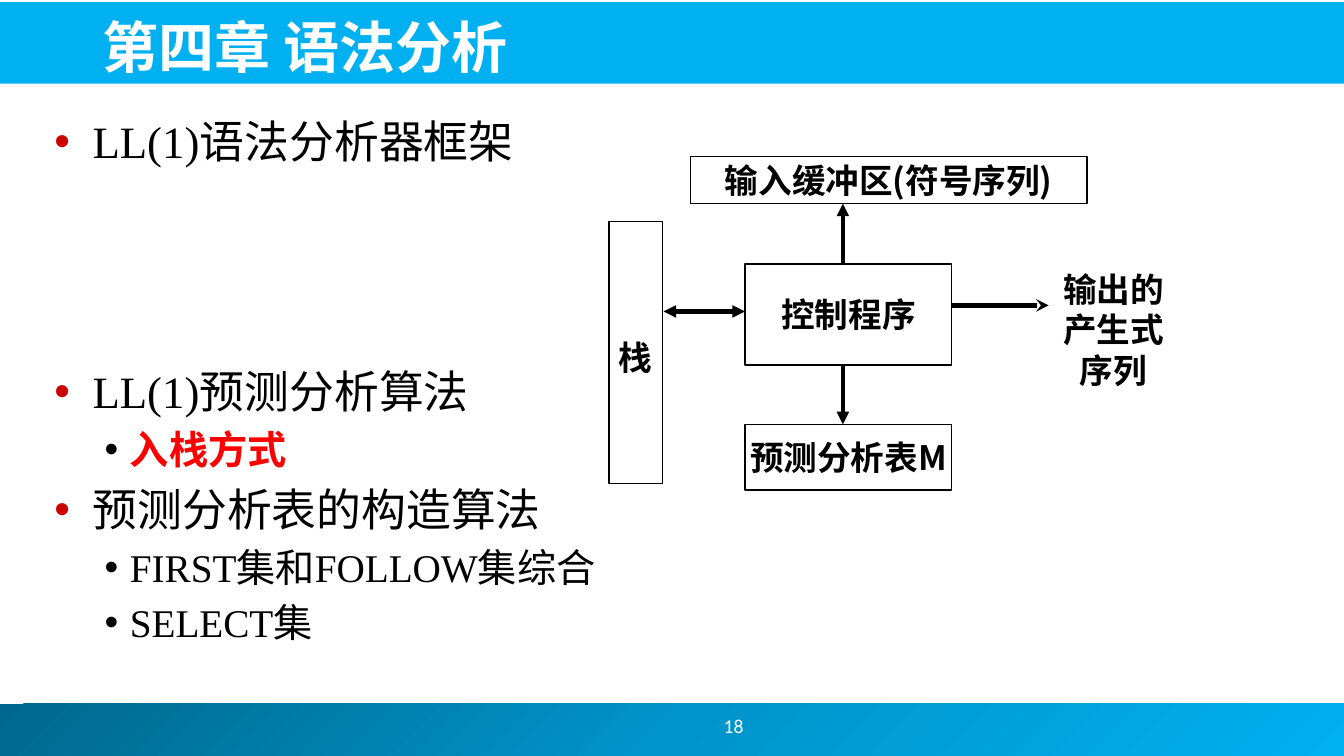
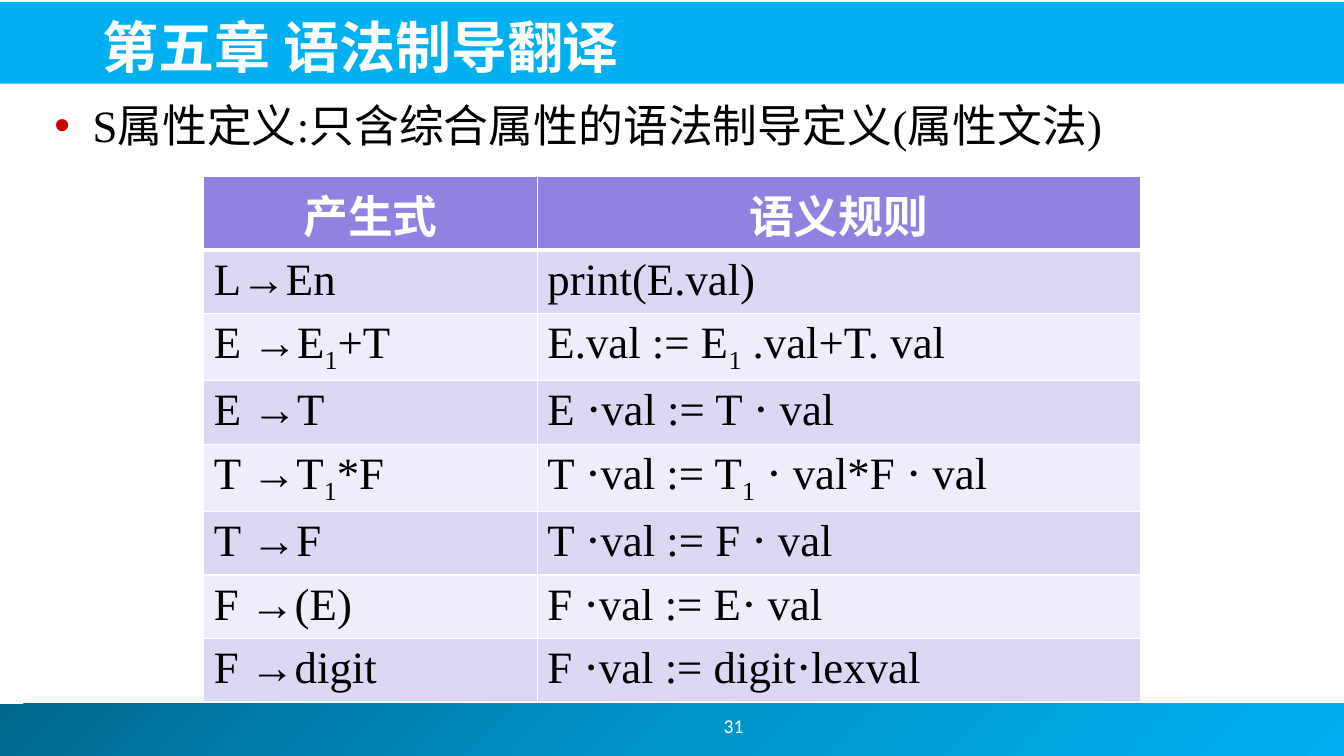
import copy

import pptx
import pptx.dml.color
import pptx.enum.shapes
import pptx.enum.text
import pptx.oxml
import pptx.oxml.ns
import pptx.util

Inches = pptx.util.Inches
Pt = pptx.util.Pt
qn = pptx.oxml.ns.qn
ALIGN = pptx.enum.text.PP_ALIGN
ANCHOR = pptx.enum.text.MSO_ANCHOR
RECTANGLE = pptx.enum.shapes.MSO_SHAPE.RECTANGLE

COLORS = {
    "band": "00B0F0", "deep": "00688E", "middle": "0094CA", "white": "FFFFFF",
    "ink": "000000", "bullet": "CC0000", "alert": "FF0000",
    "header": "9181E1", "odd": "DCD8F4", "even": "EEEDF9",
}
SANS = "Noto Sans CJK JP"
SERIF = "Times New Roman"
LINE_RATIO = 1.2
HEADER_HEIGHT = 0.73
RULE_HEIGHT = 0.63

TITLE = {"name": SANS, "size": Pt(40), "bold": True}
NUMBER = {"name": "Calibri", "size": Pt(14)}
LABEL = {"name": SANS, "size": Pt(24), "bold": True}
CELL = {"name": SERIF, "size": Pt(32), "bold": False}
LEVELS = [
    {"size": 32, "margin": 0.38, "hang": 0.38, "bullet": "bullet"},
    {"size": 28, "margin": 0.75, "hang": 0.25, "bullet": "ink"},
]


def rgb(color):
    return pptx.dml.color.RGBColor.from_string(COLORS[color])


def assign(target, values):
    for name, value in values.items():
        setattr(target, name, value)


def add_element(parent, xml):
    """Append a DrawingML element, given without its namespace prefix."""
    namespace = pptx.oxml.ns.nsdecls("a")
    tag, _, rest = xml.partition(" ")
    element = pptx.oxml.parse_xml(f"<a:{tag} {namespace} {rest}/>")
    parent.append(element)
    return element


def add_span(para, text, style, color="ink", asian=True):
    """Add a run; asian also names the font for Chinese characters."""
    span = para.add_run()
    span.text = text
    assign(span.font, style)
    span.font.color.rgb = rgb(color)
    if asian:
        add_element(span.font._element, f'ea typeface="{SANS}"')
    return span


def add_text_box(shapes, box, anchor=ANCHOR.TOP, **margins):
    frame = shapes.add_textbox(*map(Inches, box)).text_frame
    assign(frame, {"word_wrap": True, "vertical_anchor": anchor})
    assign(frame, {name: Inches(value) for name, value in margins.items()})
    return frame


def next_para(frame, index):
    return frame.add_paragraph() if index else frame.paragraphs[0]


def add_band(page, box):
    band = page.shapes.add_shape(RECTANGLE, *map(Inches, box))
    band.shadow.inherit = False
    band.line.fill.background()
    return band


def add_footer_band(page, box):
    band = add_band(page, box)
    band.fill.gradient()
    band.fill.gradient_angle = 315
    stop_list = band._element.spPr.find(".//" + qn("a:gsLst"))
    stop_list.append(copy.deepcopy(stop_list[0]))
    stops = zip(band.fill.gradient_stops, ("deep", "middle", "band"), (0, 0.5, 1))
    for stop, color, position in stops:
        stop.color.rgb = rgb(color)
        stop.position = position


def add_page(deck, title, number):
    """Add a slide with the title band, footer band and page number."""
    page = deck.slides.add_slide(deck.slide_layouts[6])
    add_footer_band(page, (0, 6.98, 13.33, 0.52))
    header = add_band(page, (-0.02, 0.02, 13.36, 0.81))
    header.fill.solid()
    header.fill.fore_color.rgb = rgb("band")

    frame = add_text_box(page.shapes, (5.83, 6.95, 2.89, 0.5), ANCHOR.MIDDLE)
    frame.paragraphs[0].alignment = ALIGN.CENTER
    add_span(frame.paragraphs[0], str(number), NUMBER, "white")

    frame = add_text_box(page.shapes, (0.92, 0.05, 11.97, 0.79), ANCHOR.BOTTOM)
    frame.paragraphs[0].line_spacing = Pt(40 * LINE_RATIO)
    add_span(frame.paragraphs[0], title, TITLE, "white")
    return page


def add_outline(page, box, items):
    """Place bullets given as (level, text, extra space before, highlighted)."""
    frame = add_text_box(page.shapes, box)
    for index, (level, text, gap, highlighted) in enumerate(items):
        look = LEVELS[level]
        para = next_para(frame, index)
        para.level = level
        para.line_spacing = Pt(look["size"] * LINE_RATIO)
        para.space_before = Pt(look["size"] * 0.2 + gap if index else 0)
        properties = para._p.get_or_add_pPr()
        properties.set("marL", str(Inches(look["margin"])))
        properties.set("indent", str(-Inches(look["hang"])))
        color = add_element(properties, "buClr ")
        add_element(color, f'srgbClr val="{COLORS[look["bullet"]]}"')
        add_element(properties, 'buFont typeface="Arial"')
        add_element(properties, 'buChar char="•"')
        style = {"name": SERIF, "size": Pt(look["size"]), "bold": highlighted}
        add_span(para, text, style, "alert" if highlighted else "ink")


def add_block(shapes, box, text, spacing=1.0):
    block = shapes.add_shape(RECTANGLE, *map(Inches, box))
    block.shadow.inherit = False
    block.fill.background()
    block.line.color.rgb = rgb("ink")
    block.line.width = Pt(1)
    frame = block.text_frame
    assign(frame, {"word_wrap": False, "vertical_anchor": ANCHOR.MIDDLE})
    assign(frame.paragraphs[0], {"alignment": ALIGN.CENTER, "line_spacing": spacing})
    add_span(frame.paragraphs[0], text, LABEL)


def add_arrow(shapes, start, end, **ends):
    """Draw a line; ends maps headEnd (start) and tailEnd (end) to arrow types."""
    arrow = shapes.add_connector(pptx.enum.shapes.MSO_CONNECTOR.STRAIGHT,
                                 *map(Inches, start + end))
    arrow.line.color.rgb = rgb("ink")
    arrow.line.width = Pt(3)
    properties = arrow._element.spPr
    for name, kind in ends.items():
        add_element(properties.find(qn("a:ln")), f'{name} type="{kind}"')
    add_element(properties, "effectLst ")


def add_parser_diagram(page, left, top):
    shapes = page.shapes.add_group_shape().shapes

    def at(x, y, *size):
        return (left + x, top + y, *size)

    add_block(shapes, at(0.81, 0, 3.93, 0.47), "输入缓冲区(符号序列)")
    add_block(shapes, at(0, 0.65, 0.53, 2.6), "栈", LINE_RATIO)
    add_block(shapes, at(1.35, 1.07, 2.05, 1), "控制程序")
    add_block(shapes, at(1.35, 2.66, 2.05, 0.65), "预测分析表M")

    add_arrow(shapes, at(2.32, 1.07), at(2.32, 0.47), tailEnd="triangle")
    add_arrow(shapes, at(1.35, 1.54), at(0.54, 1.54),
              headEnd="triangle", tailEnd="triangle")
    add_arrow(shapes, at(2.32, 2.07), at(2.32, 2.66), tailEnd="triangle")
    add_arrow(shapes, at(3.4, 1.48), at(4.36, 1.48), tailEnd="stealth")

    frame = add_text_box(shapes, at(4.24, 1.07, 1.53, 1.31),
                         margin_left=0.15, margin_right=0.15)
    for index, text in enumerate(("输出的", "产生式序列")):
        para = next_para(frame, index)
        assign(para, {"alignment": ALIGN.CENTER, "line_spacing": Pt(24 * LINE_RATIO)})
        add_span(para, text, LABEL)


def style_cell(cell, fill, top, bottom):
    """Give a cell white borders, with top and bottom widths in points, and a fill."""
    properties = cell._tc.get_or_add_tcPr()
    for side, width in {"L": 1, "R": 1, "T": top, "B": bottom}.items():
        border = add_element(properties, f'ln{side} w="{Pt(width)}"')
        solid = add_element(border, "solidFill ")
        add_element(solid, f'srgbClr val="{COLORS["white"]}"')
    cell.fill.solid()
    cell.fill.fore_color.rgb = rgb(fill)


def add_rule_text(para, text):
    """Write a rule, with each _1 as a subscript 1."""
    for index, part in enumerate(text.split("_1")):
        if index:
            subscript = add_span(para, "1", CELL, asian=False)
            subscript.font._element.set("baseline", "-25000")
        add_span(para, part, CELL, asian=False)


def add_rule_table(page, left, top, widths, rows):
    height = HEADER_HEIGHT + RULE_HEIGHT * (len(rows) - 1)
    box = (left, top, sum(widths), height)
    frame = page.shapes.add_table(len(rows), len(widths), *map(Inches, box))
    table = frame.table
    table.horz_banding = False
    for column, width in zip(table.columns, widths):
        column.width = Inches(width)
    for row_index, texts in enumerate(rows):
        row_height = RULE_HEIGHT if row_index else HEADER_HEIGHT
        table.rows[row_index].height = Inches(row_height)
        for column_index, text in enumerate(texts):
            cell = table.cell(row_index, column_index)
            cell.margin_bottom = Inches(0.01)
            para = cell.text_frame.paragraphs[0]
            if row_index == 0:
                style_cell(cell, "header", 1, 3)
                para.alignment = ALIGN.CENTER
                add_span(para, text, {**CELL, "bold": True}, "white")
            else:
                fill = "odd" if row_index % 2 else "even"
                style_cell(cell, fill, 3 if row_index == 1 else 1, 1)
                add_rule_text(para, text)


def build_parsing_page(deck):
    page = add_page(deck, "第四章 语法分析", 18)
    add_outline(page, (0.44, 1.08, 12.44, 5.66), [
        (0, "LL(1)语法分析器框架", 0, False),
        (0, "LL(1)预测分析算法", 134, False),
        (1, "入栈方式", 0, True),
        (0, "预测分析表的构造算法", 0, False),
        (1, "FIRST集和FOLLOW集综合", 0, False),
        (1, "SELECT集", 0, False),
    ])
    add_parser_diagram(page, 6.04, 1.55)


def build_translation_page(deck):
    page = add_page(deck, "第五章 语法制导翻译", 31)
    add_outline(page, (0.44, 0.92, 12.44, 0.86), [
        (0, "S属性定义:只含综合属性的语法制导定义(属性文法)", 0, False),
    ])
    add_rule_table(page, 2.02, 1.75, (3.31, 5.98), [
        ("产生式", "语义规则"),
        ("L→En", "print(E.val)"),
        ("E →E_1+T", "E.val := E_1 .val+T. val"),
        ("E →T", "E ⋅val := T ⋅ val"),
        ("T →T_1*F", "T ⋅val := T_1 ⋅ val*F ⋅ val"),
        ("T →F", "T ⋅val := F ⋅ val"),
        ("F →(E)", "F ⋅val := E⋅ val"),
        ("F →digit", "F ⋅val := digit⋅lexval"),
    ])


def main():
    deck = pptx.Presentation()
    deck.slide_width = Inches(13.33)
    deck.slide_height = Inches(7.5)
    build_parsing_page(deck)
    build_translation_page(deck)
    deck.save("out.pptx")


if __name__ == "__main__":
    main()
